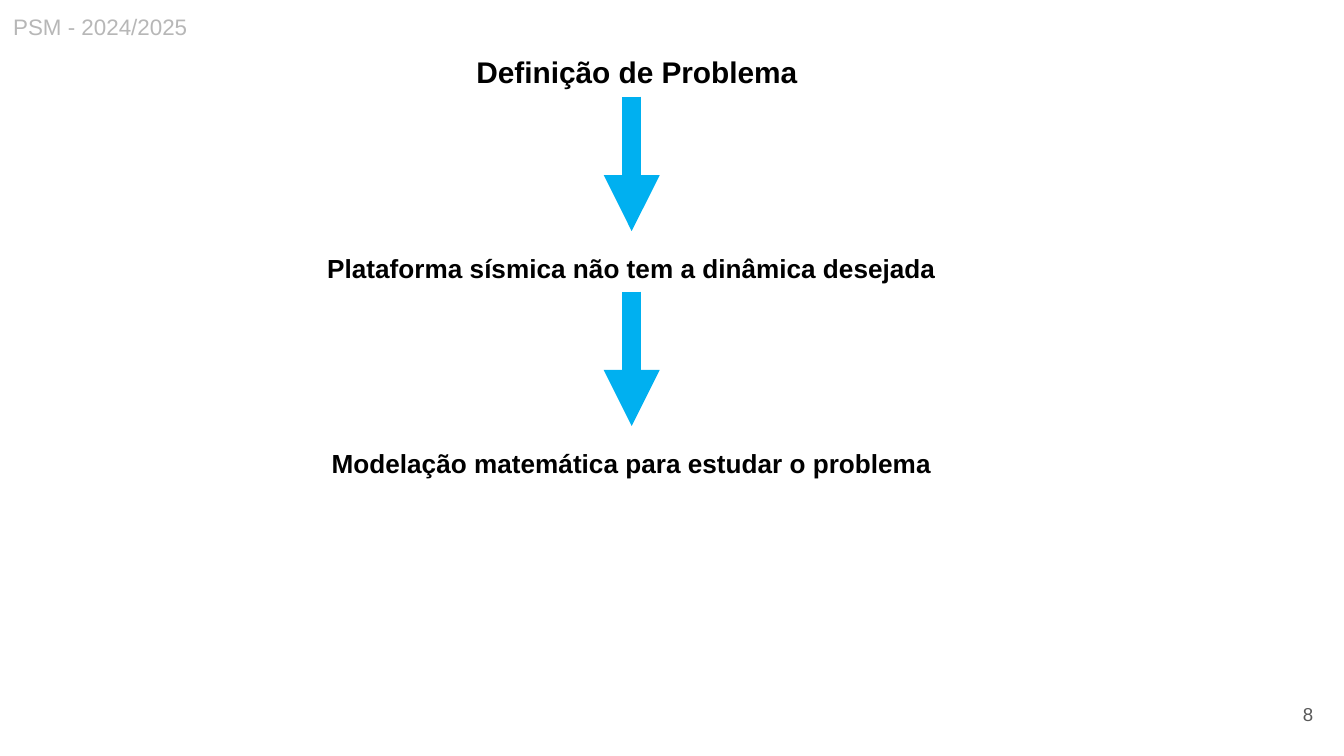
from lxml.etree import SubElement
from pptx import Presentation
from pptx.dml.color import RGBColor
from pptx.enum.shapes import MSO_CONNECTOR as Connector
from pptx.enum.text import MSO_ANCHOR as Anchor, PP_ALIGN as Align
from pptx.oxml.ns import qn
from pptx.util import Pt

BLACK = RGBColor(0x00, 0x00, 0x00)
LIGHT_GREY = RGBColor(0xB7, 0xB7, 0xB7)
DARK_GREY = RGBColor(0x59, 0x59, 0x59)
BLUE = RGBColor(0x00, 0xB0, 0xF0)

HEADER = "PSM - 2024/2025"
TITLE = "Definição de Problema"
STEPS = [
    "Plataforma sísmica não tem a dinâmica desejada",
    "Modelação matemática para estudar o problema",
]
PAGE_NUMBER = "8"

STEP_LEFT, STEP_TOP, STEP_WIDTH, STEP_HEIGHT = 122.4, 131.76, 432, 24.48
STEP_PITCH = 104.4
ARROW_LENGTH, ARROW_GAP = 72, 7.92
ARROW_X = STEP_LEFT + STEP_WIDTH / 2


def add_text(page, text, left, top, width, height, size, color,
             align=Align.CENTER, bold=False):
    box = page.shapes.add_textbox(Pt(left), Pt(top), Pt(width), Pt(height))
    frame = box.text_frame
    frame.word_wrap = True
    frame.text = text
    para = frame.paragraphs[0]
    para.alignment = align
    font = para.runs[0].font
    font.name, font.size, font.bold = "Arial", Pt(size), bold
    font.color.rgb = color
    return box


def add_arrow(page, top):
    arrow = page.shapes.add_connector(
        Connector.STRAIGHT, Pt(ARROW_X), Pt(top), Pt(ARROW_X), Pt(top + ARROW_LENGTH))
    arrow.line.color.rgb = BLUE
    arrow.line.width = Pt(10)
    properties = arrow.element.spPr
    SubElement(properties.find(qn("a:ln")), qn("a:tailEnd"), type="triangle")
    SubElement(properties, qn("a:effectLst"))
    return arrow


deck = Presentation()
deck.slide_width, deck.slide_height = Pt(720), Pt(405)
page = deck.slides.add_slide(deck.slide_layouts[6])

header = add_text(page, HEADER, 0, 0, 108, 28.8, 12, LIGHT_GREY, Align.LEFT)
header.text_frame.margin_top = Pt(7.2)
header.text_frame.margin_right = 0

add_text(page, TITLE, 125.28, 25.2, 432, 26.64, 16, BLACK, bold=True)

previous_step = None
for index, text in enumerate(STEPS):
    top = STEP_TOP + index * STEP_PITCH
    arrow = add_arrow(page, top - ARROW_GAP - ARROW_LENGTH)
    if previous_step is not None:
        arrow.begin_connect(previous_step, 2)
    previous_step = add_text(page, text, STEP_LEFT, top, STEP_WIDTH, STEP_HEIGHT,
                             14, BLACK, bold=True)

number = add_text(page, PAGE_NUMBER, 667.44, 367.2, 43.2, 30.96, 10, DARK_GREY, Align.RIGHT)
number.text_frame.vertical_anchor = Anchor.MIDDLE

deck.save("out.pptx")
